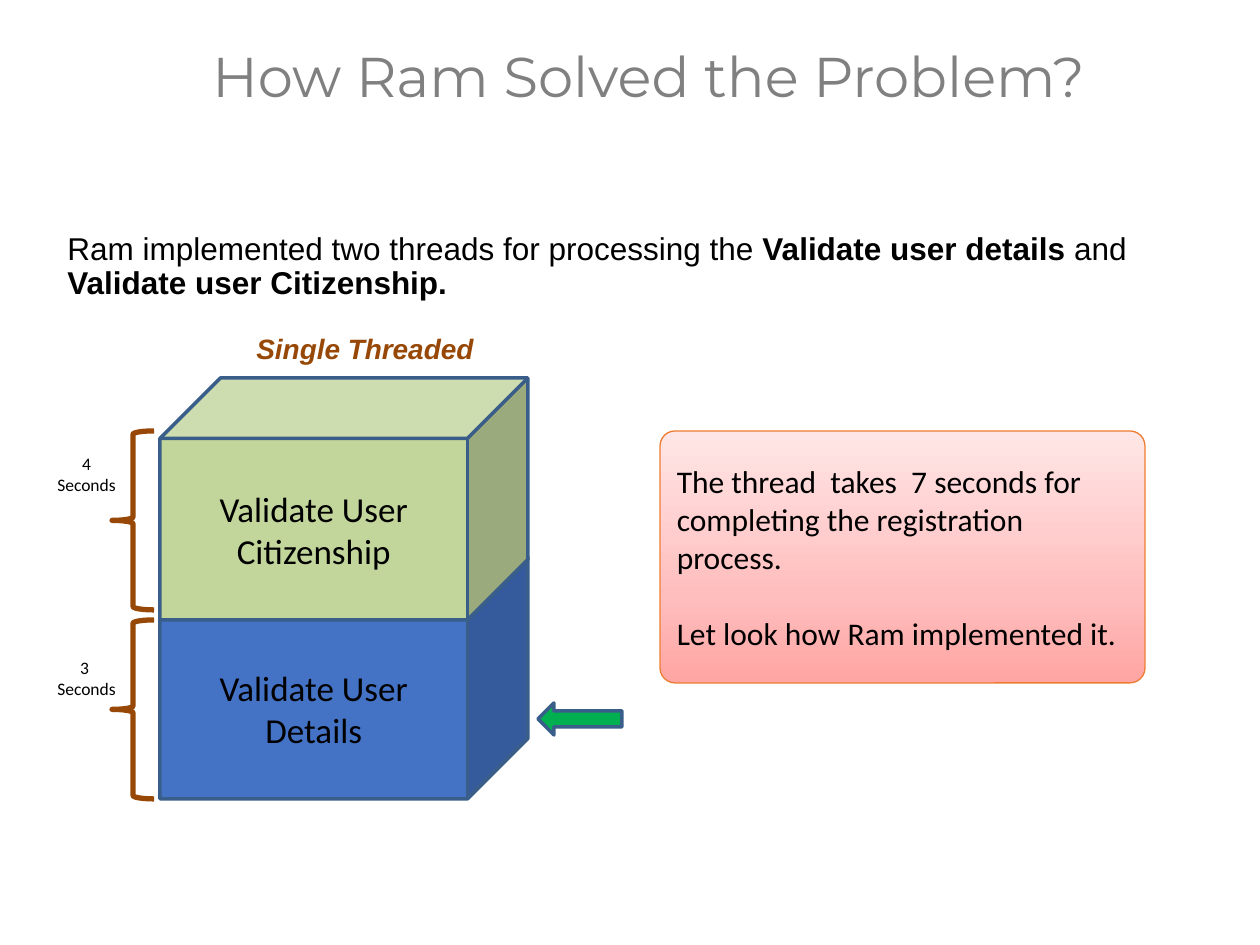
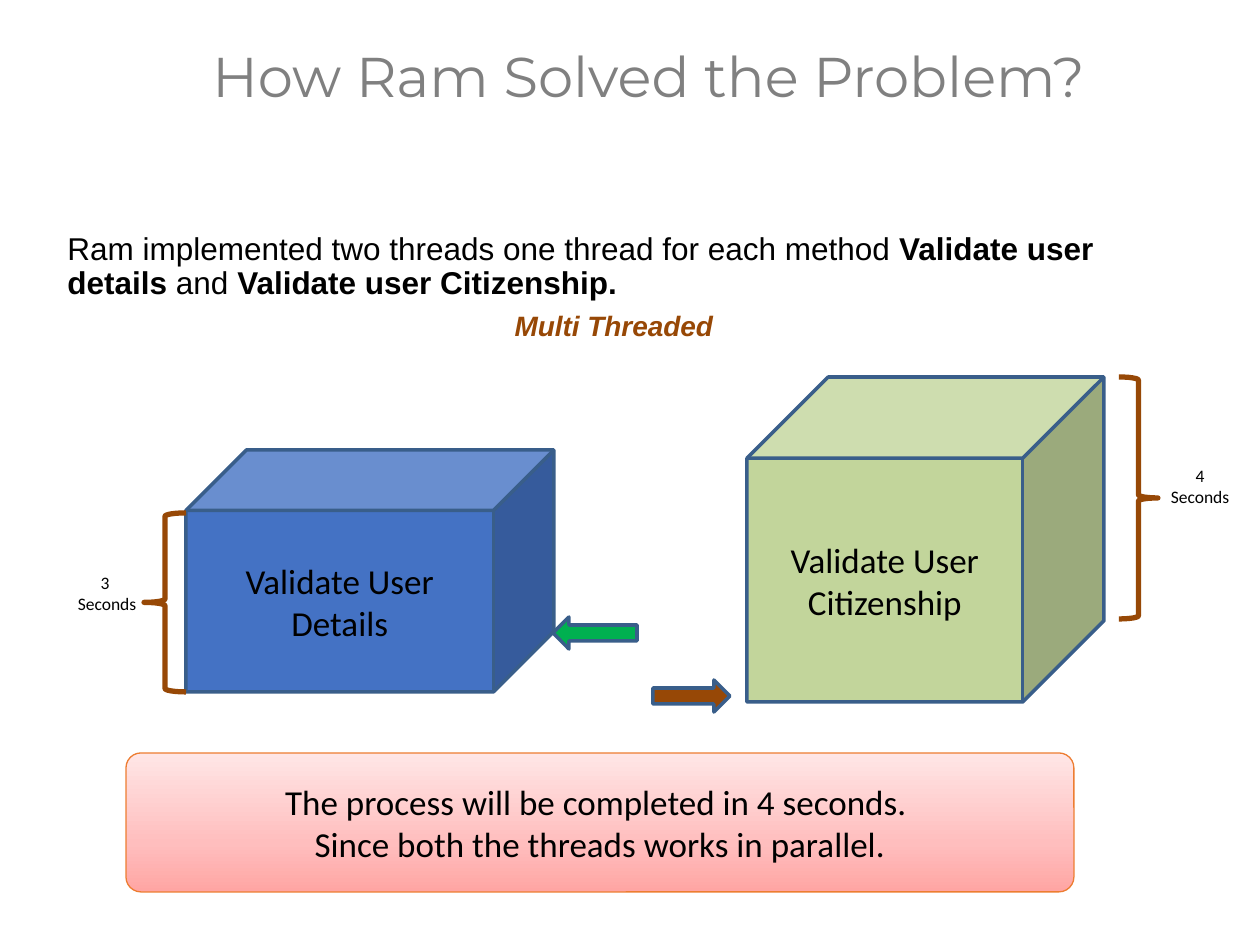
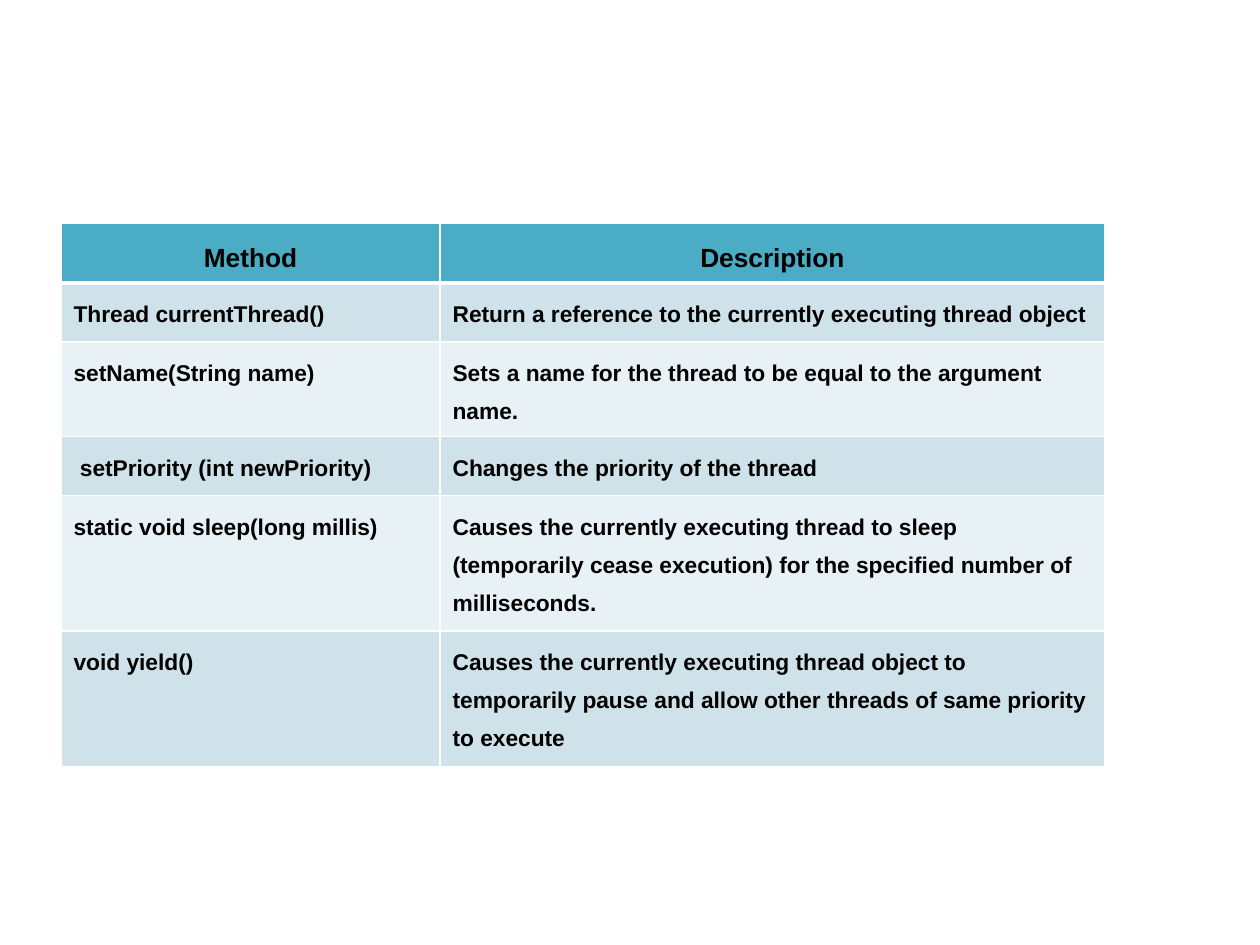
import copy

from pptx import Presentation
from pptx import util as u
from pptx.dml.color import RGBColor
from pptx.enum import shapes, text
from pptx.oxml import parse_xml
from pptx.oxml.ns import nsdecls, qn

PX = u.Inches(1) // 126
COLORS = {
    "black": "000000", "title": "808080", "blue": "4472C4", "green": "C2D59B",
    "outline": "395E8A", "brown": "974806", "arrow": "00B050", "orange": "ED7D31",
    "header": "4BACC6", "band": "CFE2EA", "pale": "E8F1F5", "white": "FFFFFF",
}
NOTE_STOPS = [(0, "FFA5A3"), (0.35, "FFBEBE"), (1, "FFE6E6")]
CORNER = 15
KIND = shapes.MSO_SHAPE
LEFT, CENTER = text.PP_ALIGN.LEFT, text.PP_ALIGN.CENTER
TOP, MIDDLE = text.MSO_ANCHOR.TOP, text.MSO_ANCHOR.MIDDLE

TITLE_FONT = {"name": "Montserrat", "size": u.Pt(32)}
BODY_FONT = {"name": "Arial", "size": u.Pt(18)}
HEADING_FONT = {"name": "Arial", "size": u.Pt(16), "bold": True, "italic": True}
CUBE_FONT = {"name": "Calibri", "size": u.Pt(20)}
CAPTION_FONT = {"name": "Calibri", "size": u.Pt(10)}


def write(frame, paragraphs, font, color="black", align=LEFT, spacing=None, gap=0):
    """Fill a text frame; text between bars is bold, gap parts the paragraphs."""
    frame.word_wrap = True
    for number, words in enumerate(paragraphs):
        para = frame.add_paragraph() if number else frame.paragraphs[0]
        para.alignment = align
        if spacing:
            para.line_spacing = spacing
        if number and gap:
            para.space_before = u.Pt(gap)
        for index, part in enumerate(words.split("|")):
            if not part:
                continue
            span = para.add_run()
            span.text = part
            for key, value in font.items():
                setattr(span.font, key, value)
            if index % 2:
                span.font.bold = True
            span.font.color.rgb = RGBColor.from_string(COLORS[color])


def place(page, kind, rect, fill=None, line=None, width=1):
    """Add a preset shape, or a text box when kind is None."""
    rect = [length * PX for length in rect]
    if kind is None:
        return page.shapes.add_textbox(*rect)
    shape = page.shapes.add_shape(kind, *rect)
    shape.shadow.inherit = False
    if fill:
        shape.fill.solid()
        shape.fill.fore_color.rgb = RGBColor.from_string(COLORS[fill])
    else:
        shape.fill.background()
    shape.line.color.rgb = RGBColor.from_string(COLORS[line])
    shape.line.width = u.Pt(width)
    return shape


thread_pages = [
    {
        "body": "Ram implemented two threads for processing the "
                "|Validate user details| and |Validate user Citizenship.|",
        "heading": ("Single Threaded", (244, 325, 262, 52), LEFT),
        "cubes": [("Validate User Details", (160, 557, 368, 242), "blue"),
                  ("Validate User Citizenship", (160, 378, 368, 242), "green")],
        "braces": [(KIND.LEFT_BRACE, (112, 620, 42, 179)),
                   (KIND.LEFT_BRACE, (112, 431, 42, 179))],
        "captions": [("3 ", (8, 651, 157, 57)), ("4", (8, 447, 157, 57))],
        "arrows": [(KIND.LEFT_ARROW, (538, 703, 84, 32), "arrow")],
        "note": (["The thread  takes  7 seconds for completing the registration process.",
                  "Let look how Ram implemented it."],
                 (660, 431, 485, 252), BODY_FONT | {"name": "Calibri"}, LEFT, 22),
    },
    {
        "body": "Ram implemented two threads one thread for each method "
                "|Validate user details| and |Validate user Citizenship.|",
        "heading": ("Multi Threaded", (483, 302, 262, 52), CENTER),
        "cubes": [("Validate User Details", (186, 450, 368, 242), "blue"),
                  ("Validate User Citizenship", (747, 377, 357, 325), "green")],
        "braces": [(KIND.LEFT_BRACE, (144, 513, 42, 179)),
                   (KIND.RIGHT_BRACE, (1119, 377, 39, 242))],
        "captions": [("3 ", (42, 566, 130, 57)), ("4", (1140, 459, 120, 57))],
        "arrows": [(KIND.LEFT_ARROW, (553, 617, 84, 32), "arrow"),
                   (KIND.RIGHT_ARROW, (653, 680, 77, 32), "brown")],
        "note": (["The process will be completed in 4 seconds. ",
                  "Since both the threads works in parallel."],
                 (126, 753, 948, 139), CUBE_FONT, CENTER, 0),
    },
]

deck = Presentation()
deck.slide_width, deck.slide_height = 1260 * PX, 945 * PX
blank = deck.slide_layouts[6]

for content in thread_pages:
    page = deck.slides.add_slide(blank)

    title = place(page, None, (200, 1, 1060, 156)).text_frame
    title.vertical_anchor = MIDDLE
    write(title, ["How Ram Solved the Problem?"], TITLE_FONT, "title", spacing=0.9)
    body = place(page, None, (55, 227, 1142, 605)).text_frame
    write(body, [content["body"]], BODY_FONT, spacing=0.9)

    for label, rect, fill in content["cubes"]:
        cube = place(page, KIND.CUBE, rect, fill, "outline", 2)
        write(cube.text_frame, [label], CUBE_FONT, align=CENTER)
    for kind, rect in content["braces"]:
        brace = place(page, kind, rect, line="brown", width=3)
        brace.adjustments[0] = 0.08
    for seconds, rect in content["captions"]:
        caption = place(page, None, rect).text_frame
        write(caption, [seconds, "Seconds"], CAPTION_FONT, align=CENTER)
    for kind, rect, fill in content["arrows"]:
        place(page, kind, rect, fill, "outline", 2)

    words, rect, align = content["heading"]
    write(place(page, None, rect).text_frame, [words], HEADING_FONT, "brown", align)

    lines, rect, font, align, gap = content["note"]
    note = place(page, KIND.ROUNDED_RECTANGLE, rect, line="orange", width=0.75)
    note.adjustments[0] = CORNER / rect[3]
    note.fill.gradient()
    note.fill.gradient_angle = 90
    stop_list = note.element.spPr.find(".//" + qn("a:gsLst"))
    stop_list.insert(1, copy.deepcopy(stop_list[0]))
    for stop, (position, color) in zip(note.fill.gradient_stops, NOTE_STOPS):
        stop.position = position
        stop.color.rgb = RGBColor.from_string(color)
    write(note.text_frame, lines, font, align=align, gap=gap)

methods = [
    ("Method", "Description"),
    ("Thread currentThread()",
     "Return a reference to the currently executing thread object"),
    ("setName(String name)",
     "Sets a name for the thread to be equal to the argument name."),
    (" setPriority (int newPriority)", "Changes the priority of the thread"),
    ("static void sleep(long millis)",
     "Causes the currently executing thread to sleep (temporarily cease execution) "
     "for the specified number of milliseconds."),
    ("void yield()",
     "Causes the currently executing thread object to temporarily pause and allow "
     "other threads of same priority to execute"),
]
column_widths = [379, 665]
row_heights = [60, 59, 89, 59, 127, 127]

page = deck.slides.add_slide(blank)
table = page.shapes.add_table(
    len(methods), 2, 61 * PX, 223 * PX, sum(column_widths) * PX, sum(row_heights) * PX
).table
for column, width in zip(table.columns, column_widths):
    column.width = width * PX
for number, (row, height) in enumerate(zip(table.rows, row_heights)):
    row.height = height * PX
    header = number == 0
    fill = "header" if header else "band" if number % 2 else "pale"
    font = {"name": "Arial", "size": u.Pt(15 if header else 13), "bold": True}
    for cell, words in zip(row.cells, methods[number]):
        for side in "LRTB":
            thick = (number, side) in [(0, "B"), (1, "T")]
            cell._tc.get_or_add_tcPr().append(parse_xml(
                f'<a:ln{side} {nsdecls("a")} w="{u.Pt(3 if thick else 1)}"><a:solidFill>'
                f'<a:srgbClr val="{COLORS["white"]}"/></a:solidFill></a:ln{side}>'))
        cell.fill.solid()
        cell.fill.fore_color.rgb = RGBColor.from_string(COLORS[fill])
        cell.vertical_anchor = TOP
        write(cell.text_frame, [words], font, align=CENTER if header else LEFT, spacing=1.5)

deck.save("out.pptx")
